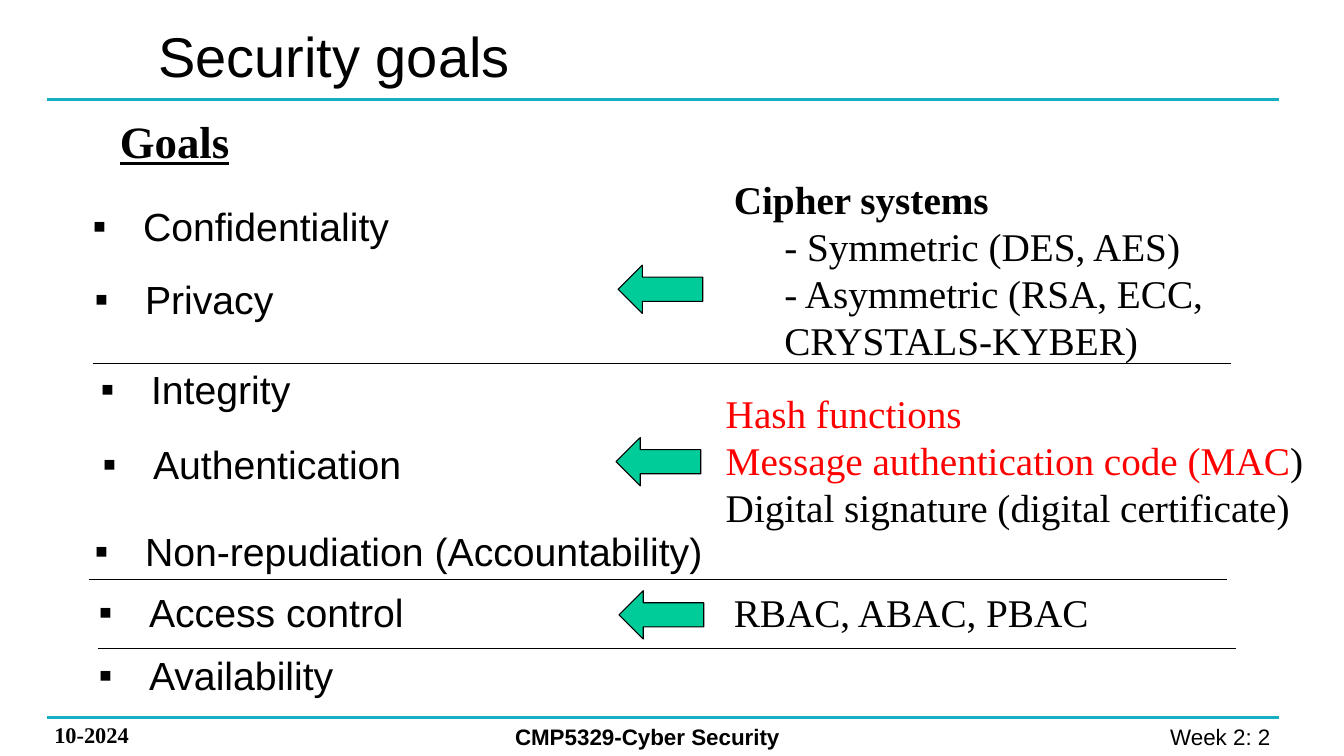
from dataclasses import dataclass

from lxml import etree
from pptx import Presentation
from pptx.dml.color import RGBColor
from pptx.enum.shapes import MSO_CONNECTOR as CONNECTOR, MSO_SHAPE as SHAPE
from pptx.enum.text import MSO_ANCHOR as ANCHOR, PP_ALIGN as ALIGN
from pptx.oxml.ns import qn
from pptx.util import Inches, Pt


@dataclass(frozen=True)
class Theme:
    sans: str = "Arial"
    serif: str = "Times New Roman"
    ink: str = "000000"
    alert: str = "FF0000"
    rule: str = "16AFC2"
    arrow: str = "00CC99"
    title: int = 40
    heading: int = 32
    body: int = 28
    footer: int = 16
    thick: float = 2.25
    thin: float = 0.75


THEME = Theme()


def add_text(slide, box, paragraphs, *, size=THEME.body, font=THEME.sans,
             bold=False, underline=False, align=ALIGN.LEFT, anchor=ANCHOR.TOP,
             wrap=True, bullet=None):
    """Each paragraph is a string or a dict with runs, bold and indent."""
    shape = slide.shapes.add_textbox(*map(Inches, box))
    frame = shape.text_frame
    frame.word_wrap = wrap
    frame.vertical_anchor = anchor
    for index, item in enumerate(paragraphs):
        if isinstance(item, str):
            item = {"runs": [(item, THEME.ink)]}
        paragraph = frame.add_paragraph() if index else frame.paragraphs[0]
        paragraph.alignment = align
        properties = paragraph._p.get_or_add_pPr()
        if bullet:
            properties.set("marL", str(Inches(0.5)))
            properties.set("indent", str(Inches(-0.5)))
            etree.SubElement(properties, qn("a:buFont"), typeface=THEME.sans)
            etree.SubElement(properties, qn("a:buChar"), char=bullet)
        elif "indent" in item:
            properties.set("marL", str(Inches(item["indent"])))
            properties.set("indent", "0")
        for text, color in item["runs"]:
            run = paragraph.add_run()
            run.text = text
            run.font.name = font
            run.font.size = Pt(size)
            run.font.bold = item.get("bold", bold)
            run.font.underline = underline
            run.font.color.rgb = RGBColor.from_string(color)
    return shape


def add_rule(slide, left, top, width, color=THEME.ink, weight=THEME.thin):
    line = slide.shapes.add_connector(
        CONNECTOR.STRAIGHT, Inches(left), Inches(top),
        Inches(left + width), Inches(top))
    line.line.color.rgb = RGBColor.from_string(color)
    line.line.width = Pt(weight)
    etree.SubElement(line._element.spPr, qn("a:effectLst"))


def add_arrow(slide, left, top):
    arrow = slide.shapes.add_shape(
        SHAPE.DOWN_ARROW, Inches(left), Inches(top), Inches(0.48), Inches(0.84))
    arrow.rotation = 90
    arrow.shadow.inherit = False
    arrow.fill.solid()
    arrow.fill.fore_color.rgb = RGBColor.from_string(THEME.arrow)
    arrow.line.color.rgb = RGBColor.from_string(THEME.ink)
    arrow.line.width = Pt(THEME.thin)


def build_header(slide, left, top, width, height):
    add_text(slide, (left + 1, top, 7.28, height - 0.01), ["Security goals"],
             size=THEME.title, anchor=ANCHOR.MIDDLE)
    add_rule(slide, left, top + height, width, THEME.rule, THEME.thick)


def build_footer(slide, left, top, width, height):
    add_rule(slide, left, top, width, THEME.rule, THEME.thick)
    add_text(slide, (left - 0.03, top - 0.01, 1.78, height), ["10-2024"],
             size=THEME.footer, font=THEME.serif, bold=True)
    add_text(slide, (left + 4.54, top, 4.09, height),
             ["CMP5329-Cyber Security"], size=THEME.footer, bold=True)
    # The right inset and a trailing space set the page number in slightly
    add_text(slide, (left + width - 2.87, top, 2.94, height), ["Week 2: 2 "],
             size=THEME.footer, align=ALIGN.RIGHT)


def build_goals(slide, left, top):
    add_text(slide, (left + 0.27, top, 1.3, 0.64), ["Goals"],
             size=THEME.heading, font=THEME.serif, bold=True, underline=True,
             wrap=False)
    # Goal, offset from the left and top of the region, width
    goals = [
        ("Confidentiality", 0, 0.88, 3.18),
        ("Privacy", 0.02, 1.6, 2),
        ("Integrity", 0.08, 2.5, 2.11),
        ("Authentication", 0.1, 3.24, 3.2),
        ("Non-repudiation (Accountability)", 0.02, 4.1, 6.33),
        ("Access control", 0.06, 4.71, 3.26),
        ("Availability", 0.06, 5.33, 2.56),
    ]
    for goal, across, down, width in goals:
        add_text(slide, (left + across, top + down, width, 0.57), [goal],
                 wrap=False, bullet="▪")
    # Dividers between groups of goals
    for across, down in [(0.1, 2.53), (0.06, 4.67), (0.15, 5.35)]:
        add_rule(slide, left + across, top + down, 11.29)


def build_mechanisms(slide, left, top):
    ciphers = [
        {"runs": [("Cipher systems", THEME.ink)], "bold": True},
        {"runs": [("- Symmetric (DES, AES)", THEME.ink)], "indent": 0.5},
        {"runs": [("- Asymmetric (RSA, ECC, CRYSTALS-KYBER)", THEME.ink)],
         "indent": 0.5},
    ]
    integrity = [
        {"runs": [("Hash functions", THEME.alert)]},
        {"runs": [("Message authentication code (MAC", THEME.alert),
                  (")", THEME.ink)]},
        "Digital signature (digital certificate)",
    ]
    # Text, its box within the region, and the offset of its arrow
    mechanisms = [
        (ciphers, (0.89, 0, 5.95, 1.99), (0.02, 0.76)),
        (integrity, (0.81, 2.12, 6.33, 1.51), (0, 2.47)),
        (["RBAC, ABAC, PBAC"], (0.89, 4.1, 3.76, 0.57), (0.03, 3.99)),
    ]
    for paragraphs, (across, down, width, height), arrow in mechanisms:
        add_text(slide, (left + across, top + down, width, height), paragraphs,
                 font=THEME.serif)
        add_arrow(slide, left + arrow[0], top + arrow[1])


def main():
    presentation = Presentation()
    presentation.slide_width = Inches(13.33)
    presentation.slide_height = Inches(7.5)
    slide = presentation.slides.add_slide(presentation.slide_layouts[6])
    build_header(slide, 0.47, 0.11, 12.22, 0.88)
    build_footer(slide, 0.47, 7.12, 12.22, 0.37)
    build_goals(slide, 0.82, 1.08)
    build_mechanisms(slide, 6.29, 1.69)
    presentation.save("out.pptx")


if __name__ == "__main__":
    main()
